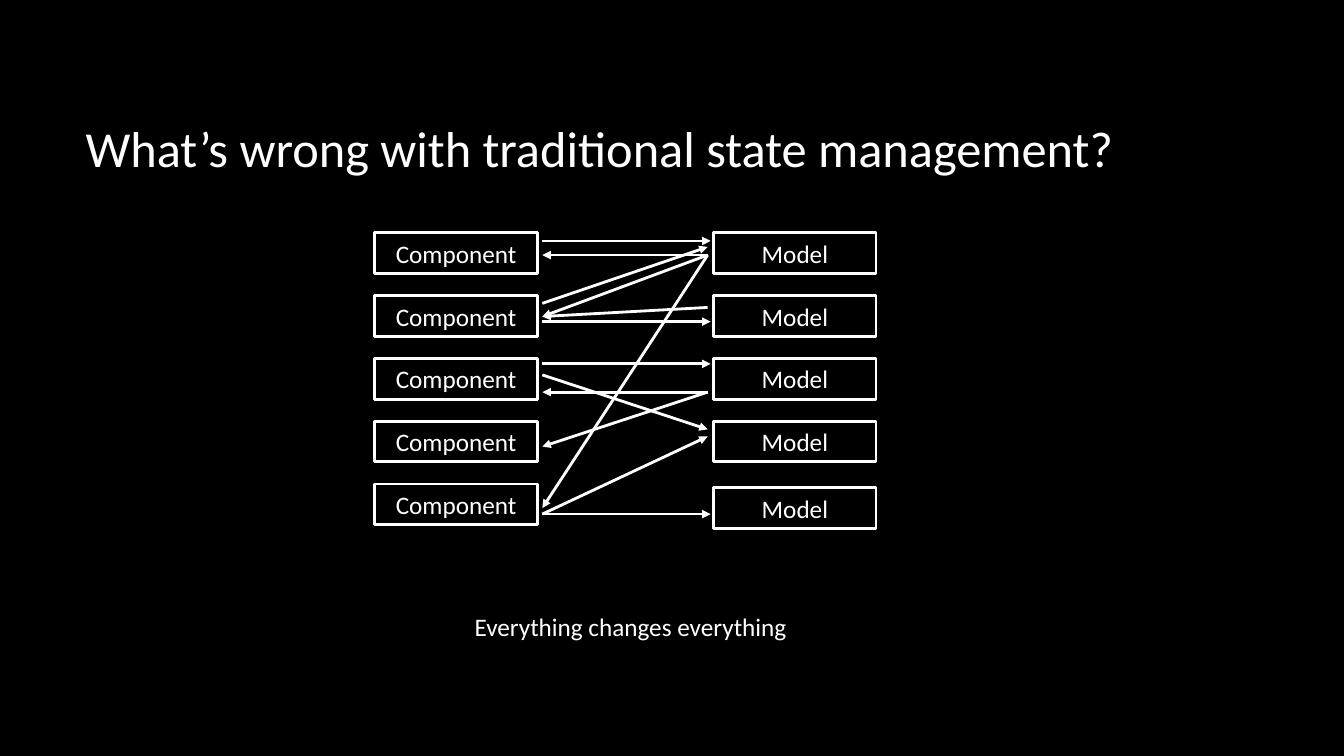
from lxml import etree
from pptx import Presentation
from pptx.dml.color import RGBColor
from pptx.enum import shapes, text
from pptx.oxml.ns import qn
from pptx.util import Pt

COLORS = {"background": "000000", "foreground": "FFFFFF"}
FONT = "Calibri"

BOX_WIDTH, BOX_HEIGHT = 116, 29.1
COMPONENT_LEFT, MODEL_LEFT = 267.8, 509.8
FIRST_TOP, ROW_PITCH = 166.3, 44.85
ROWS = 5
LAST_MODEL_DROP = 2.8

# Where arrows meet the two columns; level arrows reach a little further.
COMPONENT_X, MODEL_X, LEVEL_MODEL_X = 387.4, 505.5, 507.6

# Heights at which arrows start and end.
READS = [  # model to component
    (182.2, 182.2), (182.2, 226.1), (182.2, 362.9),
    (219.6, 226.1), (280.1, 280.1), (280.1, 319),
]
WRITES = [  # component to model
    (172.1, 172.1), (216.7, 176.4), (229.7, 229.7), (259.9, 259.9),
    (267.8, 306.7), (367.2, 367.2), (367.2, 311.8),
]


def color(name):
    return RGBColor.from_string(COLORS[name])


def write(frame, wording, size, align, anchor):
    frame.vertical_anchor = anchor
    paragraph = frame.paragraphs[0]
    paragraph.text = wording
    paragraph.alignment = align
    paragraph.font.name = FONT
    paragraph.font.size = Pt(size)
    paragraph.font.color.rgb = color("foreground")


def add_label(slide, wording, size, left, top, width, height, anchor, wrap):
    frame = slide.shapes.add_textbox(
        Pt(left), Pt(top), Pt(width), Pt(height)).text_frame
    frame.word_wrap = wrap
    write(frame, wording, size, text.PP_ALIGN.LEFT, anchor)


def add_node(slide, wording, left, top):
    node = slide.shapes.add_shape(
        shapes.MSO_SHAPE.RECTANGLE,
        Pt(left), Pt(top), Pt(BOX_WIDTH), Pt(BOX_HEIGHT))
    node.shadow.inherit = False
    node.fill.background()
    node.line.color.rgb = color("foreground")
    node.line.width = Pt(2)
    write(node.text_frame, wording, 18,
          text.PP_ALIGN.CENTER, text.MSO_ANCHOR.MIDDLE)


def add_arrow(slide, start_x, start_y, end_x, end_y):
    arrow = slide.shapes.add_connector(
        shapes.MSO_CONNECTOR.STRAIGHT,
        Pt(start_x), Pt(start_y), Pt(end_x), Pt(end_y))
    arrow.line.color.rgb = color("foreground")
    arrow.line.width = Pt(2)
    properties = arrow.line._get_or_add_ln()
    etree.SubElement(properties, qn("a:tailEnd"), type="triangle")
    etree.SubElement(arrow._element.spPr, qn("a:effectLst"))


def main():
    deck = Presentation()
    deck.slide_width, deck.slide_height = Pt(960), Pt(540)
    slide = deck.slides.add_slide(deck.slide_layouts[6])
    slide.background.fill.solid()
    slide.background.fill.fore_color.rgb = color("background")

    add_label(slide, "What’s wrong with traditional state management?", 36,
              54, 48.2, 797.8, 114.5, text.MSO_ANCHOR.MIDDLE, True)

    for row in range(ROWS):
        top = FIRST_TOP + row * ROW_PITCH
        drop = LAST_MODEL_DROP if row == ROWS - 1 else 0
        add_node(slide, "Component", COMPONENT_LEFT, top)
        add_node(slide, "Model", MODEL_LEFT, top + drop)

    for model_y, component_y in READS:
        add_arrow(slide, MODEL_X, model_y, COMPONENT_X, component_y)
    for component_y, model_y in WRITES:
        model_x = LEVEL_MODEL_X if component_y == model_y else MODEL_X
        add_arrow(slide, COMPONENT_X, component_y, model_x, model_y)

    add_label(slide, "Everything changes everything", 18,
              331.9, 433.4, 239.8, 29.1, text.MSO_ANCHOR.TOP, False)
    deck.save("out.pptx")


if __name__ == "__main__":
    main()
